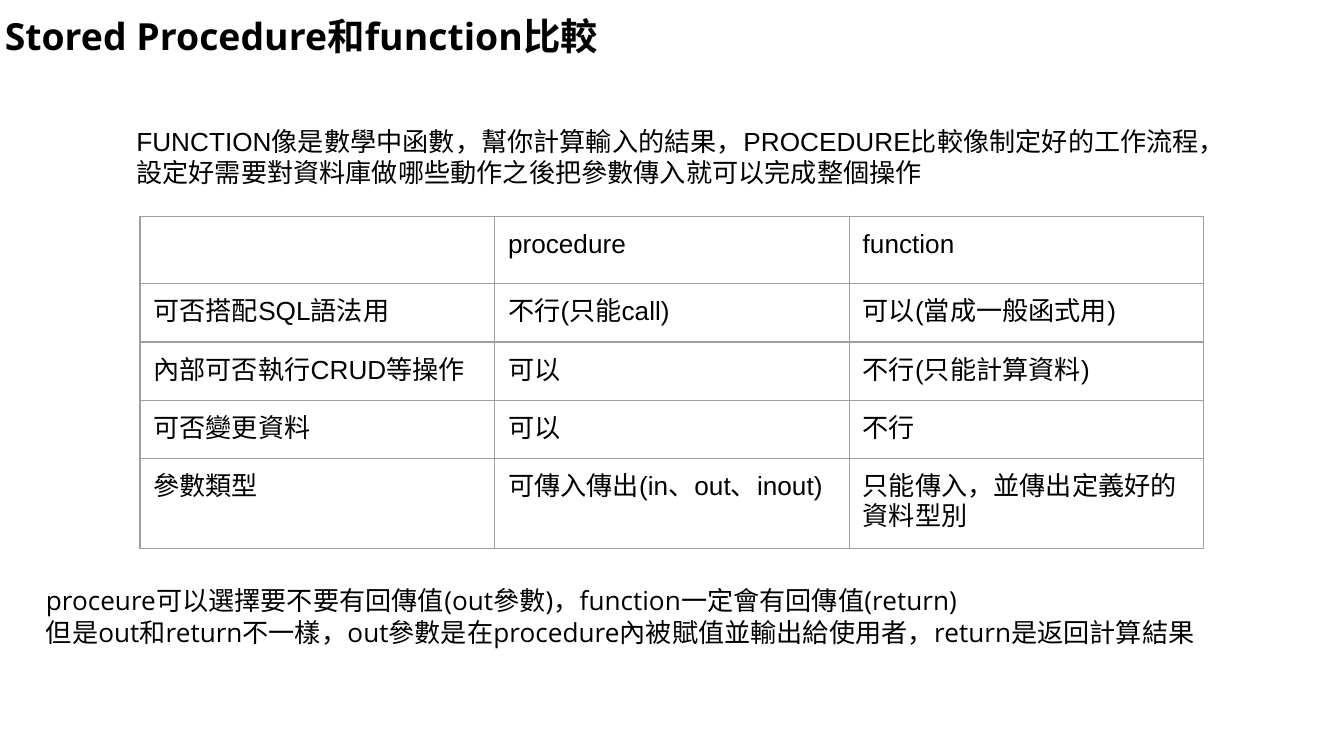
from dataclasses import dataclass

from lxml.etree import SubElement
from pptx import Presentation
from pptx.dml.color import RGBColor
from pptx.enum.text import MSO_AUTO_SIZE
from pptx.oxml.ns import qn
from pptx.util import Pt

BLACK = "000000"
GREY = "9E9E9E"
INSET = 7.2


@dataclass
class Note:
    left: float
    top: float
    width: float
    height: float
    lines: list[str]
    font: str
    size: float = 14
    bold: bool = False
    grow: bool = False


NOTES = [
    Note(-4.5, 0, 336, 43, ["Stored Procedure和function比較"], "Open Sans", 20, bold=True),
    Note(66, 60, 606, 48,
         ["FUNCTION像是數學中函數，幫你計算輸入的結果，PROCEDURE比較像制定好的工作流程，"
          "設定好需要對資料庫做哪些動作之後把參數傳入就可以完成整個操作"],
         "Arial", grow=True),
    Note(17.5, 306, 687.5, 90.5,
         ["proceure可以選擇要不要有回傳值(out參數)，function一定會有回傳值(return)",
          "但是out和return不一樣，out參數是在procedure內被賦值並輸出給使用者，return是返回計算結果"],
         "Open Sans"),
]

ROWS = [
    ("", "procedure", "function"),
    ("可否搭配SQL語法用", "不行(只能call)", "可以(當成一般函式用)"),
    ("內部可否執行CRUD等操作", "可以", "不行(只能計算資料)"),
    ("可否變更資料", "可以", "不行"),
    ("參數類型", "可傳入傳出(in、out、inout)", "只能傳入，並傳出定義好的資料型別"),
]
HEIGHTS = [30, 30, 30, 30, 46]
COL = 190


def color(code: str) -> RGBColor:
    return RGBColor.from_string(code)


def add_run(para, text: str, face: str, size: float, bold: bool = False) -> None:
    run = para.add_run()
    run.text = text
    font = run.font
    font.name, font.size, font.bold = face, Pt(size), bold
    font.color.rgb = color(BLACK)
    # Chinese text takes the same font
    SubElement(run._r.get_or_add_rPr(), qn("a:ea"), typeface=face)


def set_inset(item) -> None:
    item.margin_left = item.margin_right = Pt(INSET)
    item.margin_top = item.margin_bottom = Pt(INSET)


def add_note(slide, note: Note) -> None:
    box = slide.shapes.add_textbox(
        Pt(note.left), Pt(note.top), Pt(note.width), Pt(note.height))
    frame = box.text_frame
    frame.word_wrap = True
    set_inset(frame)
    if note.grow:
        frame.auto_size = MSO_AUTO_SIZE.SHAPE_TO_FIT_TEXT
    for i, line in enumerate(note.lines):
        para = frame.add_paragraph() if i else frame.paragraphs[0]
        add_run(para, line, note.font, note.size, note.bold)


def add_edges(cell) -> None:
    props = cell._tc.get_or_add_tcPr()
    for i, side in enumerate(("lnL", "lnR", "lnT", "lnB")):
        edge = props.makeelement(qn(f"a:{side}"), {"w": str(int(Pt(0.75)))})
        fill = SubElement(edge, qn("a:solidFill"))
        SubElement(fill, qn("a:srgbClr"), val=GREY)
        props.insert(i, edge)


def add_grid(slide, left: float, top: float) -> None:
    cols = len(ROWS[0])
    grid = slide.shapes.add_table(
        len(ROWS), cols, Pt(left), Pt(top), Pt(COL * cols), Pt(sum(HEIGHTS))).table
    grid.first_row = grid.horz_banding = False
    for col in grid.columns:
        col.width = Pt(COL)
    for r, (texts, height) in enumerate(zip(ROWS, HEIGHTS)):
        grid.rows[r].height = Pt(height)
        for c, text in enumerate(texts):
            cell = grid.cell(r, c)
            set_inset(cell)
            cell.fill.background()
            add_edges(cell)
            if text:
                add_run(cell.text_frame.paragraphs[0], text, "Arial", 14)


def main() -> None:
    deck = Presentation()
    deck.slide_width, deck.slide_height = Pt(720), Pt(405)
    slide = deck.slides.add_slide(deck.slide_layouts[6])

    # Title, summary and remarks
    for note in NOTES:
        add_note(slide, note)

    # Comparison table
    add_grid(slide, 75, 116)

    deck.save("out.pptx")


if __name__ == "__main__":
    main()
